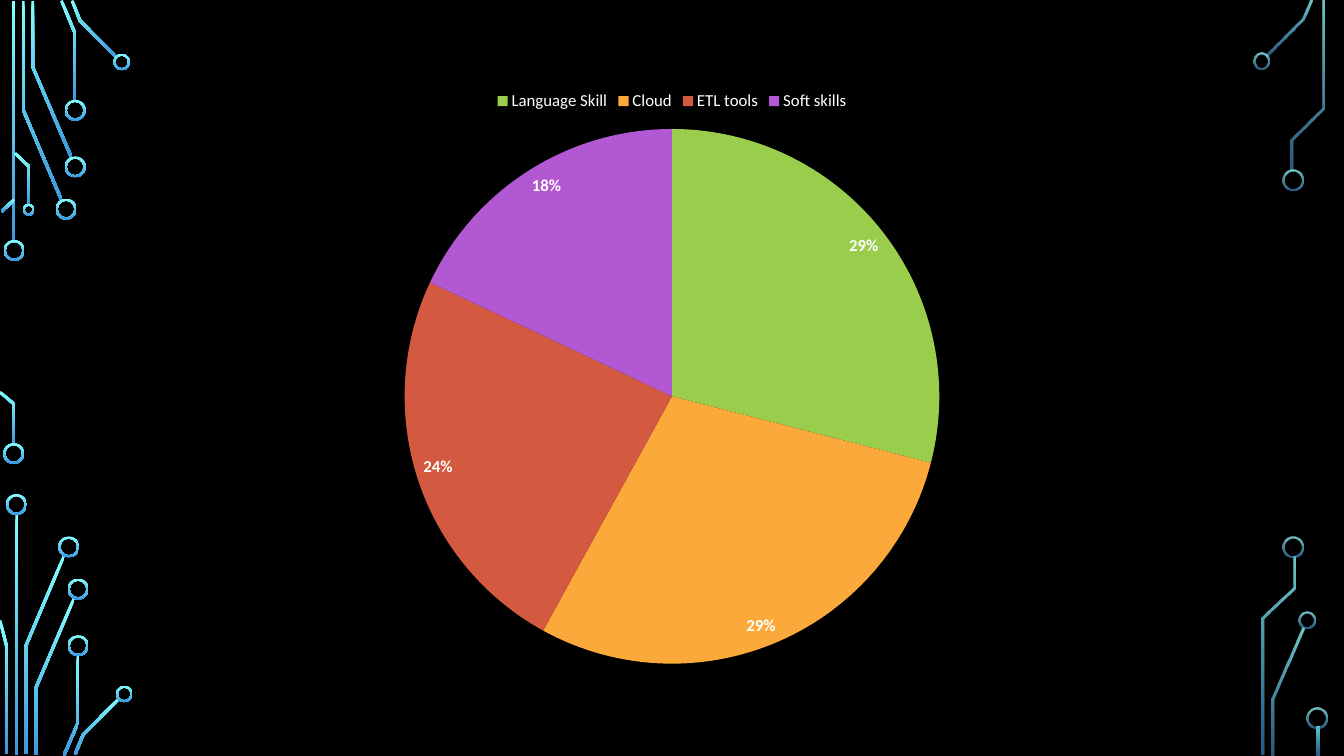
from collections import namedtuple
from dataclasses import dataclass
from math import hypot

from lxml.etree import SubElement
from pptx import Presentation
from pptx.chart.data import CategoryChartData
from pptx.dml.color import RGBColor
from pptx.enum.chart import XL_CHART_TYPE as ChartType
from pptx.enum.chart import XL_LABEL_POSITION as LabelPosition
from pptx.enum.chart import XL_LEGEND_POSITION as LegendPosition
from pptx.enum.shapes import MSO_SHAPE as Preset
from pptx.oxml.ns import qn
from pptx.util import Pt

Box = namedtuple("Box", "left top width height")


@dataclass(frozen=True)
class Theme:
    background: str = "000000"
    text: str = "FFFFFF"
    glow: tuple = ("82FFFF", "3D97DE")
    slices: tuple = ("9ACD4C", "FAA93A", "D35940", "B258D3")
    font: str = "Calibri"
    base_size: int = 10
    chart_size: int = 12
    track_width: float = 2
    ring_stroke: float = 1.5


THEME = Theme()
LARGE, MEDIUM, SMALL = 15, 12, 8.6

LEFT_CIRCUIT = {
    "bars": [(9.7, 0.7, 172.1), (11.9, 367.2, 539.3)],
    "tracks": [
        [(16.6, 0.7), (16.6, 78.5), (43.9, 142.9)],
        [(23.4, 0.7), (23.4, 47.9), (51.1, 112.7)],
        [(43.9, 0.4), (53.6, 23.8), (53.6, 72)],
        [(51.5, 0.4), (57.2, 14.8), (83.2, 41)],
        [(10.1, 142.6), (1.1, 151.2)],
        [(0, 280.1), (10.1, 288.7), (10.1, 317.5)],
        [(10.8, 109.4), (20.9, 119.2), (20.9, 146.2)],
        [(18.4, 538.6), (18.4, 461.5), (45.7, 397.1)],
        [(4.7, 538.6), (4.7, 461.5), (0, 443.2)],
        [(25.6, 539.3), (25.6, 491.4), (52.9, 427.3)],
        [(45.7, 539.6), (55.8, 516.2), (55.8, 468)],
        [(53.6, 538.9), (59.4, 524.9), (85, 499)],
    ],
    "rings": [
        (10.1, 178.9, LARGE), (9.8, 324, LARGE), (47.2, 149.4, LARGE),
        (53.7, 119.2, LARGE), (53.7, 78.8, LARGE), (86.9, 44.3, MEDIUM),
        (20.5, 149.8, SMALL), (11.7, 360.4, LARGE), (49.1, 390.7, LARGE),
        (55.8, 420.8, LARGE), (55.8, 461.2, LARGE), (88.8, 495.7, MEDIUM),
    ],
}
RIGHT_CIRCUIT = {
    "bars": [(49.4, 519.1, 539.3)],
    "tracks": [
        [(13, 40), (38.6, 14), (44.4, 0.4)],
        [(17, 539.3), (17, 499.3), (39, 448.9)],
        [(31, 121.7), (31, 99.7), (53, 77.4), (53, 0.7)],
        [(9.8, 539.3), (9.8, 441.7), (32.1, 420.1), (32.1, 397.4)],
    ],
    "rings": [
        (9.1, 43.6, MEDIUM), (31.4, 128.5, LARGE), (41.5, 443.2, MEDIUM),
        (31.8, 390.6, LARGE), (48.7, 512.6, LARGE),
    ],
}
SKILLS = {"Language Skill": 29, "Cloud": 29, "ETL tools": 24, "Soft skills": 18}


def track_outline(points, width):
    normals = []
    for (x1, y1), (x2, y2) in zip(points, points[1:]):
        length = hypot(x2 - x1, y2 - y1)
        normals.append(((y1 - y2) / length, (x2 - x1) / length))
    before, after = normals[:1] + normals, normals + normals[-1:]
    near, far = [], []
    for (x, y), (ax, ay), (bx, by) in zip(points, before, after):
        reach = width / 2 / (1 + ax * bx + ay * by)
        dx, dy = (ax + bx) * reach, (ay + by) * reach
        near.append((x + dx, y + dy))
        far.append((x - dx, y - dy))
    return near + far[::-1]


def paint_glow(shape, opacities):
    shape.shadow.inherit = False
    shape.line.fill.background()
    shape.fill.gradient()
    shape.fill.gradient_angle = 270
    for stop, color in zip(shape.fill.gradient_stops, THEME.glow):
        stop.color.rgb = RGBColor.from_string(color)
    for color, opacity in zip(shape._element.iter(qn("a:srgbClr")), opacities):
        if opacity < 100:
            SubElement(color, qn("a:alpha")).set("val", str(opacity * 1000))


def add_circuit(page, box, circuit, opacities=(100, 100)):
    shapes = page.shapes.add_group_shape().shapes
    width = THEME.track_width
    for x, top, bottom in circuit["bars"]:
        bar = shapes.add_shape(Preset.RECTANGLE, Pt(box.left + x - width / 2),
                               Pt(box.top + top), Pt(width), Pt(bottom - top))
        paint_glow(bar, opacities)
    for points in circuit["tracks"]:
        outline = [(Pt(box.left + x), Pt(box.top + y))
                   for x, y in track_outline(points, width)]
        builder = shapes.build_freeform(*outline[0])
        builder.add_line_segments(outline[1:], close=True)
        paint_glow(builder.convert_to_shape(), opacities)
    for x, y, size in circuit["rings"]:
        ring = shapes.add_shape(Preset.DONUT, Pt(box.left + x - size / 2),
                                Pt(box.top + y - size / 2), Pt(size), Pt(size))
        ring.adjustments[0] = THEME.ring_stroke / size
        paint_glow(ring, opacities)


def format_font(font, size, bold=False):
    values = {"name": THEME.font, "size": Pt(size), "bold": bold}
    for name, value in values.items():
        setattr(font, name, value)
    font.color.rgb = RGBColor.from_string(THEME.text)


def add_skills_pie(page, box):
    data = CategoryChartData()
    data.categories = list(SKILLS)
    data.add_series("Series 1", list(SKILLS.values()))
    chart = page.shapes.add_chart(ChartType.PIE, *map(Pt, box), data).chart
    chart.has_title = False
    format_font(chart.font, THEME.base_size)

    chart.has_legend = True
    chart.legend.position = LegendPosition.TOP
    chart.legend.include_in_layout = False
    format_font(chart.legend.font, THEME.chart_size)

    plot = chart.plots[0]
    plot.vary_by_categories = True
    for index, color in enumerate(THEME.slices):
        form = plot.series[0].points[index].format
        form.fill.solid()
        form.fill.fore_color.rgb = RGBColor.from_string(color)
        form.line.fill.background()

    labels = plot.series[0].data_labels
    values = {"show_percentage": True, "show_value": False,
              "number_format": "0%", "number_format_is_linked": False,
              "position": LabelPosition.INSIDE_END}
    for name, value in values.items():
        setattr(labels, name, value)
    format_font(labels.font, THEME.chart_size, bold=True)


def build_skills_page(deck, box):
    page = deck.slides.add_slide(deck.slide_layouts[6])
    page.background.fill.solid()
    page.background.fill.fore_color.rgb = RGBColor.from_string(THEME.background)
    left_edge = Box(box.left, box.top, 96, box.height)
    right_edge = Box(box.left + box.width - 68, box.top, 68, box.height)
    pie_area = Box(box.left + 160, box.top + 57, box.width - 320, 427)
    add_circuit(page, left_edge, LEFT_CIRCUIT)
    add_circuit(page, right_edge, RIGHT_CIRCUIT, (80, 60))
    add_skills_pie(page, pie_area)


def main():
    deck = Presentation()
    full_page = Box(0, 0, 960, 540)
    deck.slide_width, deck.slide_height = Pt(full_page.width), Pt(full_page.height)
    build_skills_page(deck, full_page)
    deck.save("out.pptx")


if __name__ == "__main__":
    main()
